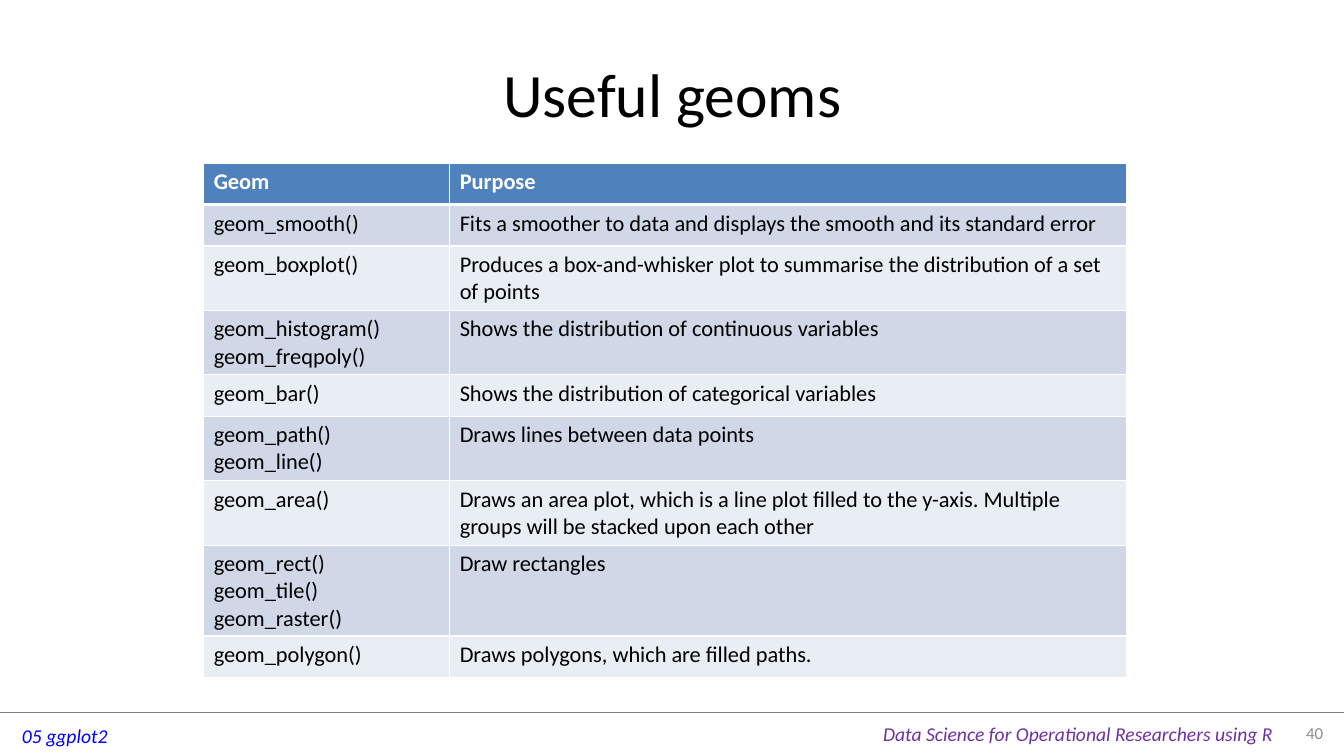
from dataclasses import dataclass

from lxml.etree import SubElement
from pptx import Presentation
from pptx.dml.color import RGBColor
from pptx.enum.shapes import MSO_CONNECTOR
from pptx.enum.text import MSO_ANCHOR, PP_ALIGN
from pptx.oxml import parse_xml
from pptx.oxml.ns import nsdecls, qn
from pptx.slide import Slide
from pptx.table import _Cell
from pptx.text.text import TextFrame
from pptx.util import Inches, Pt

FONT = "Calibri"
BLACK, WHITE = "000000", "FFFFFF"
HEADER_FILL = "4F81BD"
BAND_FILLS = ("D0D8E8", "E9EDF4")
COLUMN_WIDTHS = (2.44, 6.71)
ROW_HEIGHT, EXTRA_LINE_HEIGHT = 0.41, 0.23


@dataclass(frozen=True)
class GeomRow:
    geoms: str
    purpose: str
    lines: int = 1


@dataclass(frozen=True)
class FooterLabel:
    text: str
    left: float
    top: float
    width: float
    height: float
    size: float
    color: str
    italic: bool = True
    wrap: bool = False
    align: PP_ALIGN = PP_ALIGN.LEFT
    anchor: MSO_ANCHOR = MSO_ANCHOR.TOP


ROWS = (
    GeomRow("Geom", "Purpose"),
    GeomRow("geom_smooth()", "Fits a smoother to data and displays the smooth and its standard error"),
    GeomRow("geom_boxplot()", "Produces a box-and-whisker plot to summarise the distribution "
            "of a set of points", 2),
    GeomRow("geom_histogram()\ngeom_freqpoly()", "Shows the distribution of continuous variables", 2),
    GeomRow("geom_bar()", "Shows the distribution of categorical variables"),
    GeomRow("geom_path()\ngeom_line()", "Draws lines between data points", 2),
    GeomRow("geom_area()", "Draws an area plot, which is a line plot filled to the y-axis. "
            "Multiple groups will be stacked upon each other", 2),
    GeomRow("geom_rect()\ngeom_tile()\ngeom_raster()", "Draw rectangles", 3),
    GeomRow("geom_polygon()", "Draws polygons, which are filled paths."),
)

FOOTER_LABELS = (
    FooterLabel("05 ggplot2", 0.12, 7.13, 1.06, 0.34, 14, "0000FF"),
    FooterLabel("Data Science for Operational Researchers using R",
                8.66, 7.11, 4.11, 0.34, 14, "7030A0"),
    FooterLabel("40", 12.67, 7.07, 0.55, 0.39, 12, "8C8C8C", italic=False, wrap=True,
                align=PP_ALIGN.RIGHT, anchor=MSO_ANCHOR.MIDDLE),
)


def rgb(color: str) -> RGBColor:
    return RGBColor.from_string(color)


def format_text(frame: TextFrame, size: float, color: str, align: PP_ALIGN = PP_ALIGN.LEFT,
                bold: bool = False, italic: bool = False) -> None:
    for paragraph in frame.paragraphs:
        paragraph.alignment = align
        for run in paragraph.runs:
            run.font.name = FONT
            run.font.size = Pt(size)
            run.font.bold = bold
            run.font.italic = italic
            run.font.color.rgb = rgb(color)


def add_title(slide: Slide, text: str) -> None:
    title = slide.shapes.title
    title.left, title.top = Inches(0.67), Inches(0.3)
    title.width, title.height = Inches(12), Inches(1.25)
    title.text_frame.text = text
    title.text_frame.vertical_anchor = MSO_ANCHOR.MIDDLE
    format_text(title.text_frame, 44, BLACK, PP_ALIGN.CENTER)


def add_footer_rule(slide: Slide) -> None:
    rule = slide.shapes.add_connector(MSO_CONNECTOR.STRAIGHT, 0, Inches(7.07),
                                      Inches(13.33), Inches(7.07))
    rule.line.color.rgb = rgb("808080")
    rule.line.width = Pt(0.25)
    SubElement(rule._element.spPr, qn("a:effectLst"))


def add_footer_label(slide: Slide, label: FooterLabel) -> None:
    box = slide.shapes.add_textbox(Inches(label.left), Inches(label.top),
                                   Inches(label.width), Inches(label.height))
    frame = box.text_frame
    frame.word_wrap = label.wrap
    frame.vertical_anchor = label.anchor
    frame.text = label.text
    format_text(frame, label.size, label.color, label.align, italic=label.italic)


def set_borders(cell: _Cell, top: float, bottom: float) -> None:
    """Draw white cell borders; top and bottom widths are in points."""
    properties = cell._tc.get_or_add_tcPr()
    for index, (side, width) in enumerate(zip("LRTB", (1, 1, top, bottom))):
        properties.insert(index, parse_xml(
            f'<a:ln{side} {nsdecls("a")} w="{Pt(width)}"><a:solidFill>'
            f'<a:srgbClr val="{WHITE}"/></a:solidFill></a:ln{side}>'))


def add_geom_table(slide: Slide) -> None:
    heights = [ROW_HEIGHT + EXTRA_LINE_HEIGHT * (row.lines - 1) for row in ROWS]
    table = slide.shapes.add_table(len(ROWS), len(COLUMN_WIDTHS), Inches(2.02), Inches(1.62),
                                   Inches(sum(COLUMN_WIDTHS)), Inches(sum(heights))).table
    for column, width in zip(table.columns, COLUMN_WIDTHS):
        column.width = Inches(width)
    for index, (row, height) in enumerate(zip(ROWS, heights)):
        table.rows[index].height = Inches(height)
        is_header = index == 0
        fill = HEADER_FILL if is_header else BAND_FILLS[(index - 1) % 2]
        for cell, text in zip(table.rows[index].cells, (row.geoms, row.purpose)):
            cell.text_frame.text = text
            format_text(cell.text_frame, 16, WHITE if is_header else BLACK, bold=is_header)
            cell.fill.solid()
            cell.fill.fore_color.rgb = rgb(fill)
            set_borders(cell, top=3 if index == 1 else 1, bottom=3 if is_header else 1)


def main() -> None:
    presentation = Presentation()
    presentation.slide_width, presentation.slide_height = Inches(13.33), Inches(7.5)
    slide = presentation.slides.add_slide(presentation.slide_layouts[5])
    add_footer_rule(slide)
    add_title(slide, "Useful geoms")
    for label in FOOTER_LABELS:
        add_footer_label(slide, label)
    add_geom_table(slide)
    presentation.save("out.pptx")


if __name__ == "__main__":
    main()
